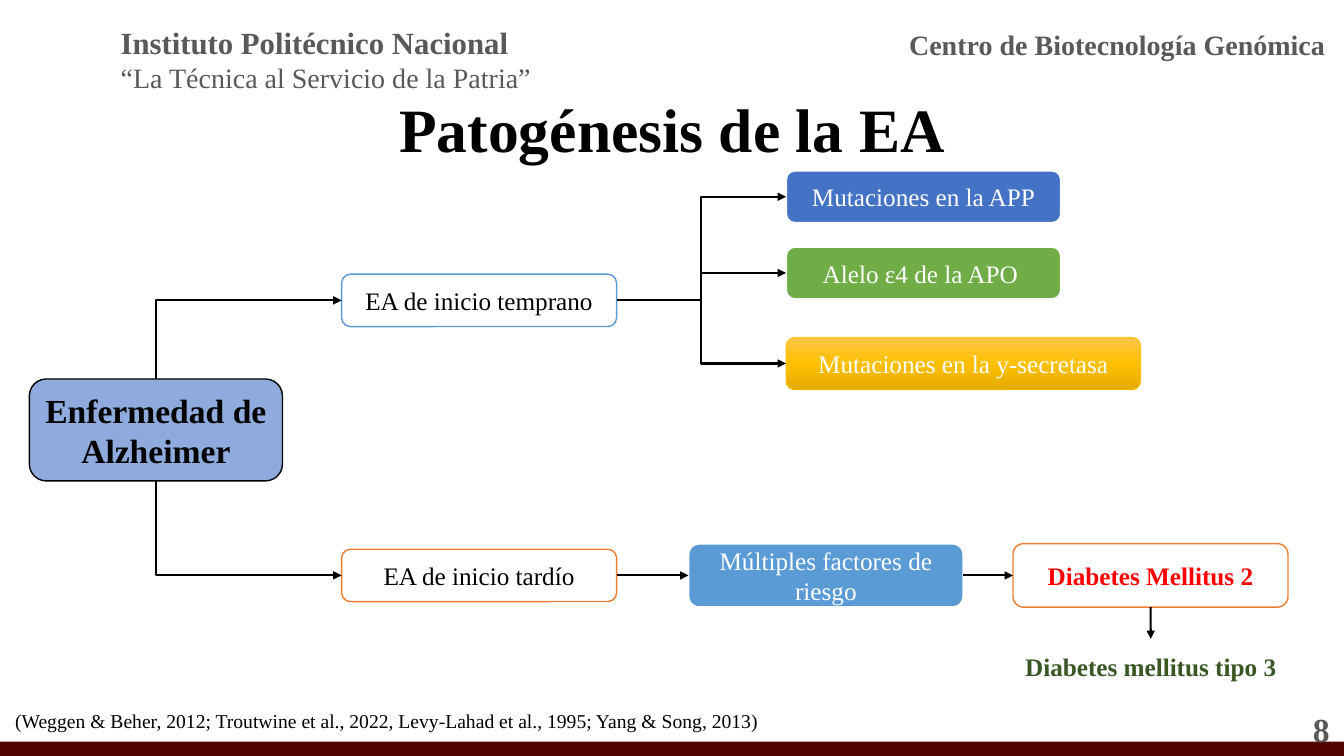
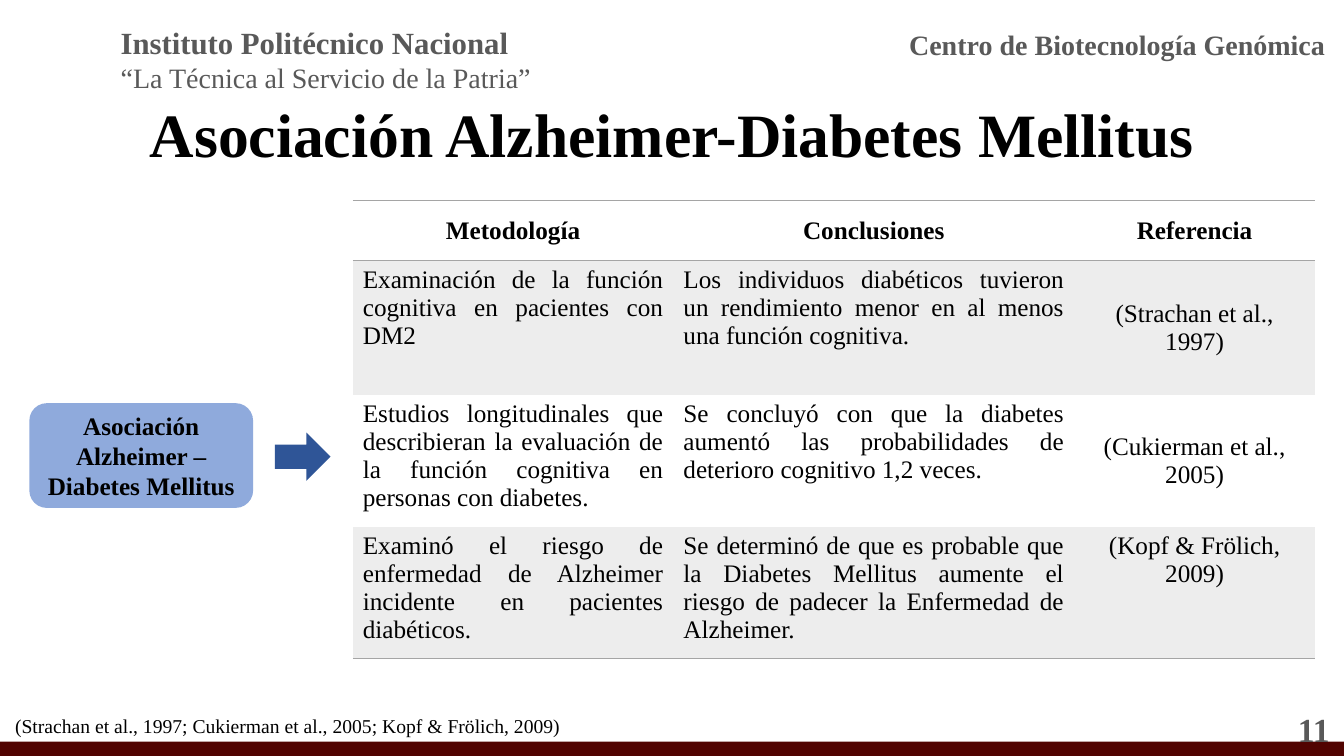
from copy import deepcopy

from lxml import etree
from pptx import Presentation
from pptx import util as u
from pptx.dml.color import RGBColor
from pptx.enum import shapes, text
from pptx.oxml.ns import qn

THEME = {
    "font": "Times New Roman",
    "colours": {
        "black": "000000", "white": "FFFFFF", "grey": "595959", "maroon": "510301",
        "periwinkle": "8FAADC", "sky": "5B9BD5", "orange": "ED7D31", "blue": "4472C4",
        "green": "70AD47", "gold": "FFC000", "light gold": "FFC64B", "dark gold": "E3AB00",
        "red": "FF0000", "forest": "385723", "navy": "2F5597", "rule": "A5A5A5", "stripe": "EDEDED",
    },
    "styles": {
        "title": {"size": u.Pt(44), "bold": True},
        "institute": {"size": u.Pt(22), "bold": True},
        "centre": {"size": u.Pt(20), "bold": True},
        "motto": {"size": u.Pt(20), "bold": False},
        "heading": {"size": u.Pt(24), "bold": True},
        "strong": {"size": u.Pt(18), "bold": True},
        "body": {"size": u.Pt(18), "bold": False},
        "citation": {"size": u.Pt(14), "bold": False},
    },
}
COLOURS = {name: RGBColor.from_string(value) for name, value in THEME["colours"].items()}
LEFT, CENTER, RIGHT, JUSTIFY = (
    text.PP_ALIGN.LEFT, text.PP_ALIGN.CENTER, text.PP_ALIGN.RIGHT, text.PP_ALIGN.JUSTIFY)
TOP, MIDDLE = text.MSO_ANCHOR.TOP, text.MSO_ANCHOR.MIDDLE
RECTANGLE = shapes.MSO_SHAPE.RECTANGLE
ROUNDED = shapes.MSO_SHAPE.ROUNDED_RECTANGLE


def write_text(frame, lines, align):
    for index, (content, style, colour) in enumerate(lines):
        paragraph = frame.add_paragraph() if index else frame.paragraphs[0]
        paragraph.alignment = align
        run = paragraph.add_run()
        run.text = content
        run.font.color.rgb = COLOURS[colour]
        for attribute, value in {"name": THEME["font"], **THEME["styles"][style]}.items():
            setattr(run.font, attribute, value)


def add_box(slide, position, lines=(), kind=None, fill=None, outline=None, width=1,
            align=CENTER, anchor=MIDDLE):
    lengths = [u.Cm(length) for length in position]
    if kind is None:
        shape = slide.shapes.add_textbox(*lengths)
    else:
        shape = slide.shapes.add_shape(kind, *lengths)
        shape.shadow.inherit = False
        shape.fill.solid()
        shape.fill.fore_color.rgb = COLOURS[fill]
        if outline:
            shape.line.color.rgb = COLOURS[outline]
            shape.line.width = u.Pt(width)
        else:
            shape.line.fill.background()
    for attribute, value in {"word_wrap": True, "vertical_anchor": anchor}.items():
        setattr(shape.text_frame, attribute, value)
    write_text(shape.text_frame, lines, align)
    return shape


presentation = Presentation()
presentation.slide_width = u.Cm(33.87)
presentation.slide_height = u.Cm(19.05)

pages = [
    ("Patogénesis de la EA", 2.36, "8", 17.73,
     "(Weggen & Beher, 2012; Troutwine et al., 2022, Levy-Lahad et al., 1995; Yang & Song, 2013)"),
    ("Asociación Alzheimer-Diabetes Mellitus", 2.49, "11", 17.86,
     "(Strachan et al., 1997; Cukierman et al., 2005; Kopf & Frölich, 2009)"),
]
for title, title_top, number, citation_top, citation in pages:
    slide = presentation.slides.add_slide(presentation.slide_layouts[6])
    add_box(slide, (0, 18.69, 33.87, 0.36), kind=RECTANGLE, fill="maroon")
    add_box(slide, (22.66, 0.56, 11, 1.12),
            [("Centro de Biotecnología Genómica", "centre", "grey")], align=LEFT, anchor=TOP)
    add_box(slide, (2.79, 0.48, 11.56, 2.06),
            [("Instituto Politécnico Nacional", "institute", "grey"),
             ("“La Técnica al Servicio de la Patria”", "motto", "grey")], align=LEFT, anchor=TOP)
    add_box(slide, (26.14, 17.86, 7.62, 1.02), [(number, "heading", "grey")], align=RIGHT)
    title_box = add_box(slide, (2.34, title_top, 29.21, 1.96), [(title, "title", "black")])
    title_box.text_frame.paragraphs[0].line_spacing = 0.9
    add_box(slide, (0.13, citation_top, 30.4, 0.86), [(citation, "citation", "black")],
            align=LEFT, anchor=TOP)

pathogenesis, association = presentation.slides

nodes = {}
for name, position, content, style, colour, fill, outline, width in [
    ("disease", (0.74, 9.55, 6.38, 2.57), "Enfermedad de Alzheimer",
     "heading", "black", "periwinkle", "black", 1),
    ("early", (8.61, 6.91, 6.93, 1.32), "EA de inicio temprano",
     "body", "black", "white", "sky", 1),
    ("late", (8.61, 13.84, 6.93, 1.32), "EA de inicio tardío",
     "body", "black", "white", "orange", 1),
    ("app", (19.81, 4.3, 6.93, 1.32), "Mutaciones en la APP",
     "body", "white", "blue", "white", 1.5),
    ("apo", (19.81, 6.22, 6.93, 1.32), "Alelo ε4 de la APO ",
     "body", "white", "green", "white", 1.5),
    ("secretase", (19.81, 8.5, 8.94, 1.32), "Mutaciones en la y-secretasa",
     "body", "white", "gold", "gold", 0.5),
    ("factors", (17.35, 13.7, 6.93, 1.6), "Múltiples factores de riesgo",
     "body", "white", "sky", "white", 1.5),
    ("type 2", (25.53, 13.7, 6.93, 1.6), "Diabetes Mellitus 2",
     "strong", "red", "white", "orange", 1),
]:
    nodes[name] = add_box(pathogenesis, position, [(content, style, colour)], ROUNDED,
                          fill, outline, width)
nodes["type 3"] = add_box(pathogenesis, (25.3, 16.1, 7.4, 1.4),
                          [("Diabetes mellitus tipo 3", "strong", "forest")])

gradient = nodes["secretase"].fill
gradient.gradient()
gradient.gradient_angle = 270
stop_list = nodes["secretase"]._element.spPr.find(qn("a:gradFill")).find(qn("a:gsLst"))
stop_list.append(deepcopy(stop_list[0]))
for stop, position, colour in zip(gradient.gradient_stops, (0, 0.5, 1),
                                  ("light gold", "gold", "dark gold")):
    stop.position = position
    stop.color.rgb = COLOURS[colour]

SITE_TOP, SITE_LEFT, SITE_BOTTOM, SITE_RIGHT = range(4)
ELBOW, STRAIGHT = shapes.MSO_CONNECTOR.ELBOW, shapes.MSO_CONNECTOR.STRAIGHT
for begin, begin_site, end, end_site, kind, arrowhead in [
    ("early", SITE_LEFT, "disease", SITE_TOP, ELBOW, "a:headEnd"),
    ("late", SITE_LEFT, "disease", SITE_BOTTOM, ELBOW, "a:headEnd"),
    ("early", SITE_RIGHT, "app", SITE_LEFT, ELBOW, "a:tailEnd"),
    ("early", SITE_RIGHT, "apo", SITE_LEFT, ELBOW, "a:tailEnd"),
    ("early", SITE_RIGHT, "secretase", SITE_LEFT, ELBOW, "a:tailEnd"),
    ("late", SITE_RIGHT, "factors", SITE_LEFT, STRAIGHT, "a:tailEnd"),
    ("factors", SITE_RIGHT, "type 2", SITE_LEFT, STRAIGHT, "a:tailEnd"),
    ("type 2", SITE_BOTTOM, "type 3", SITE_TOP, STRAIGHT, "a:tailEnd"),
]:
    connector = pathogenesis.shapes.add_connector(kind, 0, 0, 0, 0)
    connector.begin_connect(nodes[begin], begin_site)
    connector.end_connect(nodes[end], end_site)
    connector.line.color.rgb = COLOURS["black"]
    connector.line.width = u.Pt(1.5)
    properties = connector._element.spPr
    etree.SubElement(properties.find(qn("a:ln")), qn(arrowhead), type="triangle")
    etree.SubElement(properties, qn("a:effectLst"))
    if end == "disease":
        properties.find(qn("a:prstGeom")).set("prst", "bentConnector2")

add_box(association, (0.74, 10.16, 5.64, 2.64),
        [("Asociación Alzheimer – Diabetes Mellitus", "strong", "black")], ROUNDED, "periwinkle")
add_box(association, (6.93, 10.9, 1.4, 1.22), kind=shapes.MSO_SHAPE.RIGHT_ARROW, fill="navy")

studies = [
    ("Metodología", "Conclusiones", "Referencia"),
    ("Examinación de la función cognitiva en pacientes con DM2",
     "Los individuos diabéticos tuvieron un rendimiento menor en al menos una función cognitiva.",
     "(Strachan et al., 1997)"),
    ("Estudios longitudinales que describieran la evaluación de la función cognitiva en personas "
     "con diabetes.",
     "Se concluyó con que la diabetes aumentó las probabilidades de deterioro cognitivo 1,2 veces.",
     "(Cukierman et al., 2005)"),
    ("Examinó el riesgo de enfermedad de Alzheimer incidente en pacientes diabéticos.",
     "Se determinó de que es probable que la Diabetes Mellitus aumente el riesgo de padecer la "
     "Enfermedad de Alzheimer.",
     "(Kopf & Frölich, 2009)"),
]
column_widths = (8.08, 10.1, 6.07)
row_heights = (1.52, 3.38, 3.33, 3.3)
table = association.shapes.add_table(
    len(row_heights), len(column_widths), u.Cm(8.89), u.Cm(5.05),
    u.Cm(sum(column_widths)), u.Cm(sum(row_heights))).table
table.first_row = table.horz_banding = False
table._tbl.tblPr.find(qn("a:tableStyleId")).text = "{2D5ABB26-0587-4C30-8999-92F81FD0307C}"
for column, width in zip(table.columns, column_widths):
    column.width = u.Cm(width)
for row, height in zip(table.rows, row_heights):
    row.height = u.Cm(height)

last_row = len(studies) - 1
row_borders = {0: ("a:lnT", "a:lnB"), last_row: ("a:lnB",)}
for row_index, study in enumerate(studies):
    for column_index, content in enumerate(study):
        cell = table.cell(row_index, column_index)
        is_header, is_reference = row_index == 0, column_index == 2
        write_text(cell.text_frame, [(content, "strong" if is_header else "body", "black")],
                   CENTER if is_header or is_reference else JUSTIFY)
        centred = is_header or (is_reference and row_index < last_row)
        cell.vertical_anchor = MIDDLE if centred else TOP
        if row_index % 2:
            cell.fill.solid()
            cell.fill.fore_color.rgb = COLOURS["stripe"]
        else:
            cell.fill.background()
        for position, tag in enumerate(row_borders.get(row_index, ())):
            border = etree.Element(qn(tag), w=str(u.Pt(1)))
            colour_fill = etree.SubElement(border, qn("a:solidFill"))
            etree.SubElement(colour_fill, qn("a:srgbClr"), val=THEME["colours"]["rule"])
            cell._tc.get_or_add_tcPr().insert(position, border)

presentation.save("out.pptx")
